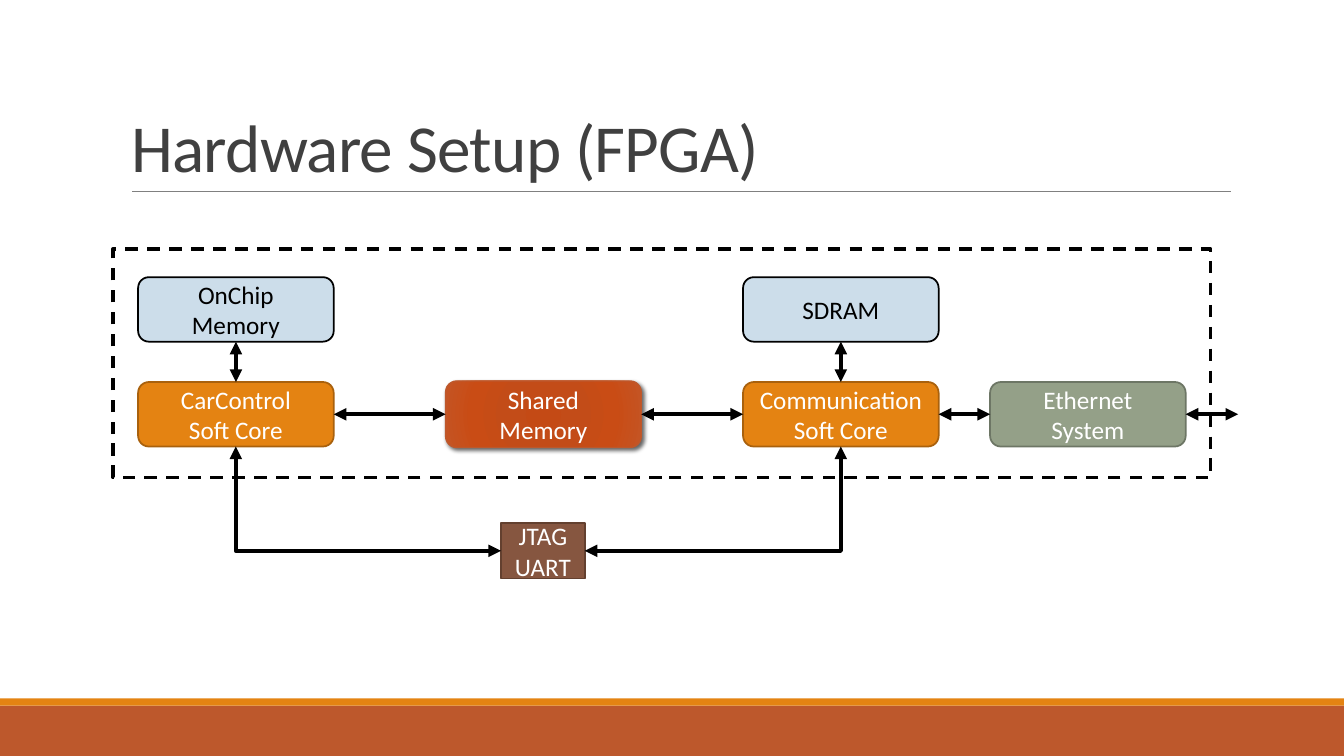
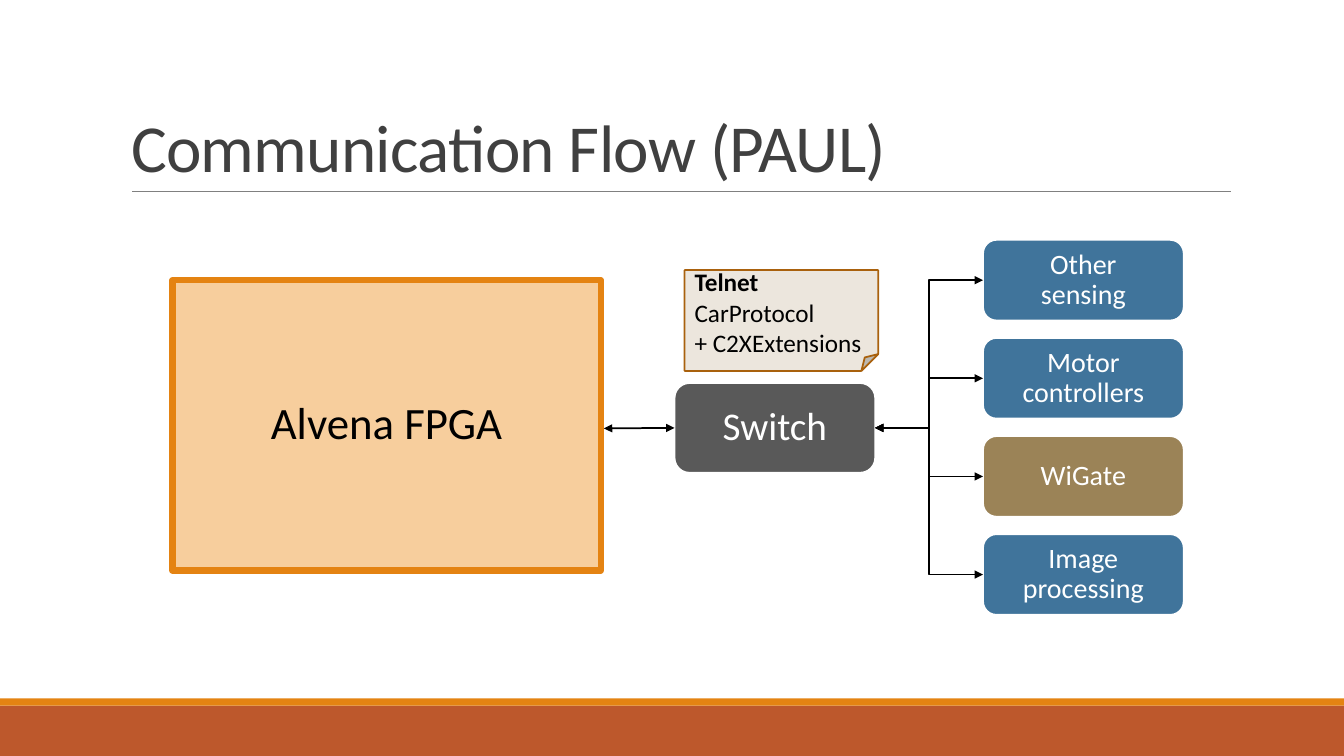
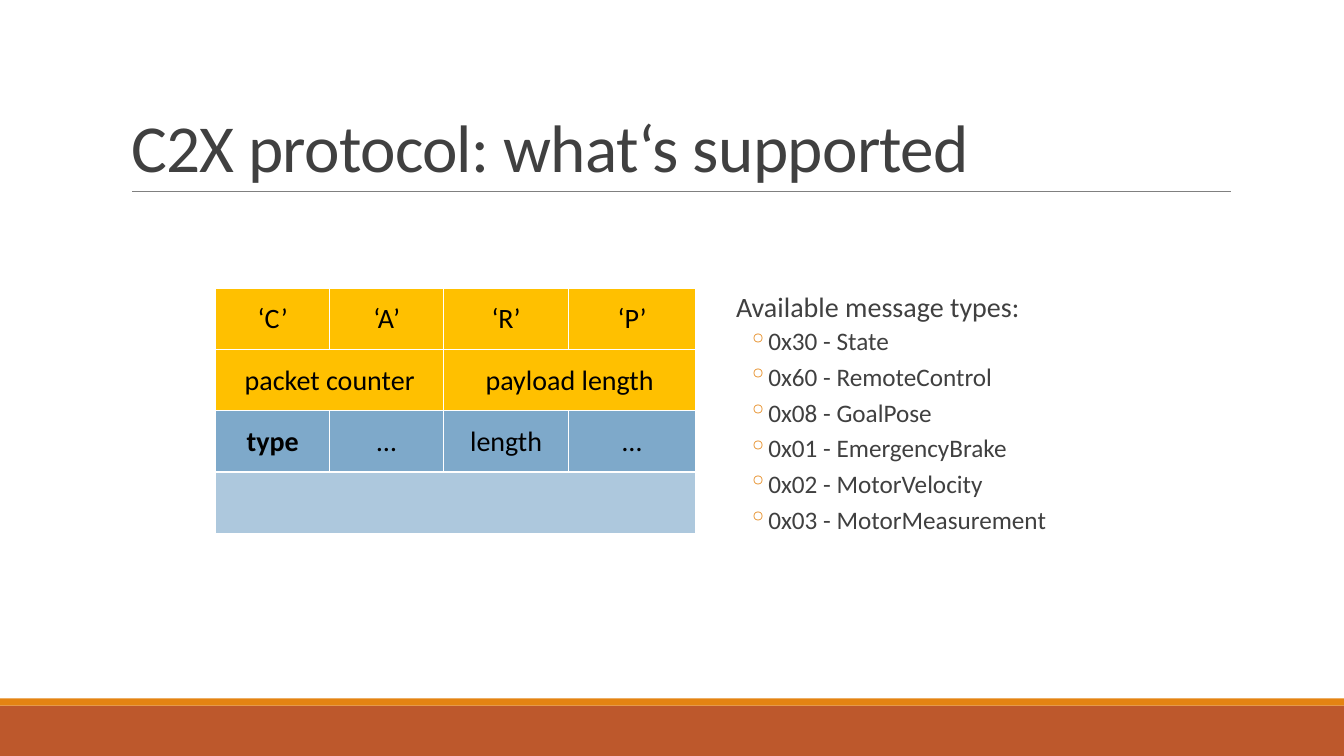
from pptx import Presentation
from pptx.dml.color import RGBColor
from pptx.enum.dml import MSO_LINE
from pptx.enum.shapes import MSO_CONNECTOR, MSO_SHAPE
from pptx.enum.text import MSO_ANCHOR, MSO_AUTO_SIZE, PP_ALIGN
from pptx.oxml import parse_xml
from pptx.oxml.ns import nsdecls, qn
from pptx.util import Inches, Pt

FONT = "Calibri"
WHITE, BLACK, GREY = "FFFFFF", "000000", "404040"
ORANGE, RUST, DARK_ORANGE = "E48312", "BD582C", "A9610D"
PALE_BLUE, BLUE, YELLOW = "CCDDEA", "40749B", "FFC000"
WIDTH, HEIGHT = 13.33, 7.5
TOP, LEFT, BOTTOM, RIGHT = range(4)  # connection sites of a box
rgb = RGBColor.from_string


def add_box(page, kind, place, fill, line=None, weight=1.25, text="",
            size=18, color=WHITE, inset=None, align=PP_ALIGN.CENTER, spacing=1):
    box = page.shapes.add_shape(kind, *map(Inches, place))
    box.shadow.inherit = False
    box.fill.solid()
    box.fill.fore_color.rgb = rgb(fill)
    if line:
        box.line.color.rgb = rgb(line)
        box.line.width = Pt(weight)
    else:
        box.line.fill.background()
    frame = box.text_frame
    frame.word_wrap = True
    frame.vertical_anchor = MSO_ANCHOR.MIDDLE
    if inset:
        for side in ("left", "top", "right", "bottom"):
            setattr(frame, f"margin_{side}", Inches(inset))
    if text:
        frame.text = text
        for para in frame.paragraphs:
            para.alignment, para.line_spacing = align, spacing
            for span in para.runs:
                span.font.name, span.font.size = FONT, Pt(size)
                span.font.color.rgb = rgb(color)
    return box


def link(page, kind, weight, box, site, far_box=None, far_site=0, tip=(0, 0)):
    wire = page.shapes.add_connector(kind, 0, 0, *map(Inches, tip))
    wire.begin_connect(box, site)
    if far_box is not None:
        wire.end_connect(far_box, far_site)
    wire.line.color.rgb = rgb(BLACK)
    wire.line.width = Pt(weight)
    outline = wire.line._get_or_add_ln()
    for end in ("headEnd", "tailEnd"):
        outline.append(parse_xml(f'<a:{end} {nsdecls("a")} type="triangle"/>'))
    wire._element.spPr.append(parse_xml(f'<a:effectLst {nsdecls("a")}/>'))
    return wire


deck = Presentation()
deck.slide_width, deck.slide_height = Inches(WIDTH), Inches(HEIGHT)

# Shared look: bands, title and rule
pages = []
for heading in ("Hardware Setup (FPGA)", "Communication Flow (PAUL)",
                "C2X protocol: what‘s supported"):
    page = deck.slides.add_slide(deck.slide_layouts[5])
    add_box(page, MSO_SHAPE.RECTANGLE, (0, 7, WIDTH, 0.5), RUST)
    add_box(page, MSO_SHAPE.RECTANGLE, (0, 6.93, WIDTH, 0.07), ORANGE)
    rule = page.shapes.add_connector(
        MSO_CONNECTOR.STRAIGHT, *map(Inches, (1.31, 1.9, 12.21, 1.9)))
    rule.line.color.rgb = rgb("808080")
    rule.line.width = Pt(0.5)
    rule._element.spPr.append(parse_xml(f'<a:effectLst {nsdecls("a")}/>'))

    title = page.shapes.title
    places = {"left": 1.2, "top": 0.31, "width": 11, "height": 1.59}
    for name, value in places.items():
        setattr(title, name, Inches(value))
    frame = title.text_frame
    frame.text = heading
    frame.auto_size = MSO_AUTO_SIZE.NONE
    frame.vertical_anchor = MSO_ANCHOR.BOTTOM
    para = frame.paragraphs[0]
    para.alignment, para.line_spacing = PP_ALIGN.LEFT, 0.85
    span = para.runs[0]
    span.font.name, span.font.size = FONT, Pt(48)
    span.font.color.rgb = rgb(GREY)
    span._r.get_or_add_rPr().set("spc", "-50")
    pages.append(page)
hardware, flow, protocol = pages

# Hardware: chip border and blocks
border = add_box(hardware, MSO_SHAPE.RECTANGLE, (1.12, 2.47, 10.89, 2.27),
                 WHITE, BLACK, 2.25)
border.line.dash_style = MSO_LINE.DASH
uart = add_box(hardware, MSO_SHAPE.RECTANGLE, (4.97, 5.19, 0.83, 0.55),
               "865640", "63402F", text="JTAG UART")
shared = add_box(hardware, MSO_SHAPE.ROUNDED_RECTANGLE, (4.42, 3.78, 1.94, 0.66),
                 "C44A15", RUST, 1, "Shared\nMemory")

columns, rows = (1.37, 7.37, 9.82), (2.75, 3.79)
blocks = {}
for name, column, row, fill, line, color, text in (
        ("on_chip", 0, 0, PALE_BLUE, BLACK, BLACK, "OnChip\nMemory"),
        ("sdram", 1, 0, PALE_BLUE, BLACK, BLACK, "SDRAM"),
        ("control", 0, 1, ORANGE, DARK_ORANGE, WHITE, "CarControl\nSoft Core"),
        ("communication", 1, 1, ORANGE, DARK_ORANGE, WHITE, "Communication Soft Core"),
        ("ethernet", 2, 1, "94A088", "6D7665", WHITE, "Ethernet\nSystem")):
    blocks[name] = add_box(hardware, MSO_SHAPE.ROUNDED_RECTANGLE,
                           (columns[column], rows[row], 1.94, 0.64),
                           fill, line, text=text, color=color)

# Shared memory: radial gradient and soft shadow
stops = "".join(
    f'<a:gs pos="{share * 1000}"><a:srgbClr val="{color}"/></a:gs>'
    for share, color in ((0, "C44A15"), (34, "C34C18"), (70, "C94C15"), (100, "C45525")))
look = shared._element.spPr
look.replace(look.find(qn("a:solidFill")), parse_xml(
    f'<a:gradFill {nsdecls("a")}><a:gsLst>{stops}</a:gsLst><a:path path="circle">'
    '<a:fillToRect l="100000" t="100000" r="100000" b="100000"/></a:path></a:gradFill>'))
look.find(qn("a:effectLst")).append(parse_xml(
    f'<a:outerShdw {nsdecls("a")} blurRad="{Pt(3)}" dist="{Pt(2)}" dir="2700000">'
    f'<a:srgbClr val="{BLACK}"><a:alpha val="60000"/></a:srgbClr></a:outerShdw>'))

# Hardware: links
control, communication = blocks["control"], blocks["communication"]
ethernet = blocks["ethernet"]
for box, site, far_box, far_site in (
        (blocks["on_chip"], BOTTOM, control, TOP),
        (blocks["sdram"], BOTTOM, communication, TOP),
        (control, RIGHT, shared, LEFT),
        (shared, RIGHT, communication, LEFT),
        (communication, RIGHT, ethernet, LEFT)):
    link(hardware, MSO_CONNECTOR.STRAIGHT, 3, box, site, far_box, far_site)
link(hardware, MSO_CONNECTOR.STRAIGHT, 3, ethernet, RIGHT, tip=(12.28, 4.11))
for site, core in ((LEFT, control), (RIGHT, communication)):
    wire = link(hardware, MSO_CONNECTOR.ELBOW, 3, uart, site, core, BOTTOM)
    wire._element.spPr.find(qn("a:prstGeom")).set("prst", "bentConnector2")

# Flow: board, switch and the devices behind it
roomy = {"inset": 0.27, "spacing": 0.9}
add_box(flow, MSO_SHAPE.RECTANGLE, (1.71, 2.78, 4.25, 2.88), "F7CE9D", ORANGE, 4.5,
        "Alvena FPGA", 32, BLACK, **roomy)
switch = add_box(flow, MSO_SHAPE.ROUNDED_RECTANGLE, (6.69, 3.8, 1.99, 0.89),
                 "595959", WHITE, text="Switch", size=28, **roomy)
link(flow, MSO_CONNECTOR.STRAIGHT, 1.25, switch, LEFT, tip=(5.99, 4.25))
devices = (("Other sensing", BLUE), ("Motor controllers", BLUE),
           ("WiGate", "9B8357"), ("Image processing", BLUE))
first, last = 2.38, 5.3
for index, (text, fill) in enumerate(devices):
    top = first + index * (last - first) / (len(devices) - 1)
    device = add_box(flow, MSO_SHAPE.ROUNDED_RECTANGLE, (9.75, top, 1.99, 0.8),
                     fill, WHITE, text=text, size=20, **roomy)
    link(flow, MSO_CONNECTOR.ELBOW, 1.25, switch, RIGHT, device, LEFT)

# Flow: protocol note
note = add_box(flow, MSO_SHAPE.FOLDED_CORNER, (6.79, 2.68, 1.92, 1), "ECE6DD", DARK_ORANGE,
               text="Telnet \n+ C2XExtensions", color=BLACK, align=PP_ALIGN.LEFT)
para = note.text_frame.paragraphs[0]
para.runs[0].font.bold = True
span = para.add_run()
span.text = "CarProtocol"
span.font.name, span.font.size = FONT, Pt(18)
span.font.color.rgb = rgb(BLACK)

# Protocol: packet layout, each cell as text and columns spanned
packet = (
    (YELLOW, (("‘C’", 1), ("‘A’", 1), ("‘R’", 1), ("‘P’", 1))),
    (YELLOW, (("packet counter", 2), ("payload length", 2))),
    ("7EA9CA", (("type", 1), ("…", 1), ("length", 1), ("…", 1))),
    ("ADC8DD", (("", 4),)))
table = protocol.shapes.add_table(
    len(packet), 4, *map(Inches, (2.14, 2.86, 4.75, 2.43))).table
table.first_row = table.horz_banding = False
for column, width in zip(table.columns, (1.13, 1.13, 1.24, 1.26)):
    column.width = Inches(width)
cell_format = {"margin_left": Inches(0.01), "margin_right": Inches(0.01),
               "margin_top": Inches(0.01), "margin_bottom": 0,
               "vertical_anchor": MSO_ANCHOR.MIDDLE}
for row, (fill, fields) in enumerate(packet):
    column = 0
    for text, columns_spanned in fields:
        cell = table.cell(row, column)
        if columns_spanned > 1:
            cell.merge(table.cell(row, column + columns_spanned - 1))
        column += columns_spanned
        for name, value in cell_format.items():
            setattr(cell, name, value)
        cell.fill.solid()
        cell.fill.fore_color.rgb = rgb(fill)
        if text:
            cell.text = text
            para = cell.text_frame.paragraphs[0]
            para.alignment = PP_ALIGN.CENTER
            font = para.runs[0].font
            font.name, font.size, font.bold = FONT, Pt(20), text == "type"
            font.color.rgb = rgb(BLACK)

# Protocol: message types
messages = ("Available message types:", "0x30 - State", "0x60 - RemoteControl",
            "0x08 - GoalPose", "0x01 - EmergencyBrake", "0x02 - MotorVelocity",
            "0x03 - MotorMeasurement")
listing = protocol.shapes.add_textbox(*map(Inches, (7.2, 2.86, 3.58, 2.72)))
frame = listing.text_frame
frame.word_wrap = True
frame.margin_left = frame.margin_right = 0
frame.text = "\n".join(messages)
for index, para in enumerate(frame.paragraphs):
    size, before, after, margin = (18, 2, 4, 0.42) if index else (20, 12, 2, 0.1)
    spacing = {"line_spacing": 0.9, "space_before": Pt(before), "space_after": Pt(after)}
    for name, value in spacing.items():
        setattr(para, name, value)
    font = para.runs[0].font
    font.name, font.size = FONT, Pt(size)
    font.color.rgb = rgb(GREY)
    layout = para._p.get_or_add_pPr()
    layout.set("marL", str(Inches(margin)))
    if index:
        layout.set("lvl", "1")
        layout.set("indent", str(Inches(-0.2)))
        layout.append(parse_xml(
            f'<a:buClr {nsdecls("a")}><a:srgbClr val="{ORANGE}"/></a:buClr>'))
        layout.append(parse_xml(f'<a:buChar {nsdecls("a")} char="◦"/>'))

deck.save("out.pptx")
